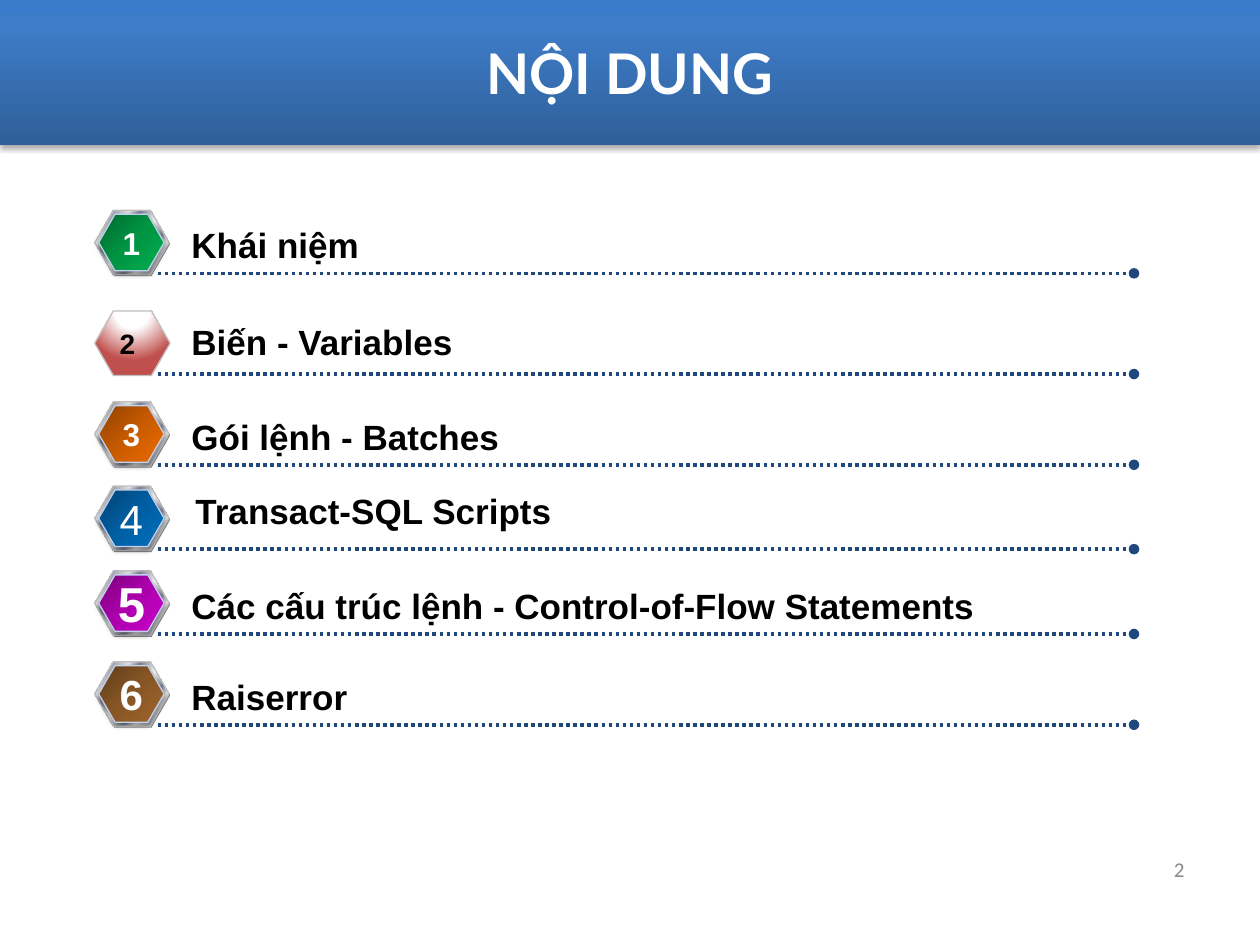
import pptx
import pptx.util
import pptx.dml.color
import pptx.enum.dml
import pptx.enum.shapes
import pptx.enum.text
import pptx.oxml
import pptx.oxml.ns

Cm, Pt = pptx.util.Cm, pptx.util.Pt
ALIGN = pptx.enum.text.PP_ALIGN
MID = pptx.enum.text.MSO_ANCHOR.MIDDLE

TITLE = "NỘI DUNG"
PAGE = "2"

# Rule height in cm, label, label shift (x, y), digit size, digit bold, badge gradient
ROWS = [
    (5.51, "Khái niệm", (0, 0), 18, True, ("00682F", "009443", "00B050")),
    (7.54, "Biến - Variables", (0, -0.08), 16, True, None),
    (9.37, "Gói lệnh - Batches", (0, 0), 18, True, ("8D4000", "C85B00", "EE6B00")),
    (11.07, "Transact-SQL Scripts", (0.08, -0.2), 24, False,
     ("004272", "005EA2", "0070C0")),
    (12.78, "Các cấu trúc lệnh - Control-of-Flow Statements", (0, 0), 28, True,
     ("790079", "AC00AC", "CC00CC")),
    (14.61, "Raiserror", (0, 0), 24, True, ("5F3C1A", "875625", "A1662B")),
]

THEME = {
    "head": "Lato", "body": "Arial", "foot": "Calibri",
    "title": 32, "label": 20, "page": 12,
    "white": "FFFFFF", "black": "000000", "gray": "898989",
    "rule": "1F497D", "back": "808080", "rim": "C0C0C0", "edge": "C2D1ED",
    "banner": [(0, "2F5F99"), (80, "3D7CC7"), (100, "3A7CCB")],
    "glow": [(0, "FFFFFF"), (35, "FFFFFF"), (100, "C0504D")],
    "steel": [(0, "E6E6E6"), (8, "7D8496"), (26, "E6E6E6"), (34, "7D8496"),
              (46, "E6E6E6"), (50, "FFFFFF"), (54, "E6E6E6"), (66, "7D8496"),
              (74, "E6E6E6"), (92, "7D8496"), (100, "E6E6E6")],
}
LINEAR = '<a:lin ang="{}" scaled="0"/>'
RADIAL = ('<a:path path="circle"><a:fillToRect l="50000" t="-80000" '
          'r="50000" b="180000"/></a:path>')


def rgb(name):
    return pptx.dml.color.RGBColor.from_string(THEME.get(name, name))


def node(xml):
    """Parse one drawing element, adding the namespace to its tag."""
    tag, rest = xml[:-2].split(" ", 1) if xml.endswith("/>") else (None, None)
    if tag:
        return pptx.oxml.parse_xml(f'{tag} {pptx.oxml.ns.nsdecls("a")} {rest}/>')
    return pptx.oxml.parse_xml(xml.replace(">", f' {pptx.oxml.ns.nsdecls("a")}>', 1))


def part(shape, tag):
    return shape._element.spPr.find(pptx.oxml.ns.qn(tag))


def blend(shape, stops, course):
    """Fill with a gradient of (percent, colour) stops."""
    shape.fill.gradient()
    grad = part(shape, "a:gradFill")
    for kid in list(grad):
        grad.remove(kid)
    marks = "".join(f'<a:gs pos="{pos * 1000}"><a:srgbClr val="{hue}"/></a:gs>'
                    for pos, hue in stops)
    grad.append(node(f"<a:gsLst>{marks}</a:gsLst>"))
    grad.append(node(course) if course.startswith("<a:lin") else
                node(f"<a:hold>{course}</a:hold>")[0])


def shade(shape, alpha, dist):
    shape.shadow.inherit = False
    part(shape, "a:effectLst").append(node(
        f'<a:hold><a:outerShdw blurRad="{Pt(3.1)}" dist="{Pt(dist)}" dir="5400000" '
        f'rotWithShape="0"><a:srgbClr val="000000"><a:alpha val="{alpha * 1000}"/>'
        '</a:srgbClr></a:outerShdw></a:hold>')[0])


def write(shape, text, face, size, hue, bold=False, align=ALIGN.LEFT,
          anchor=None, wrap=True):
    frame = shape.text_frame
    frame.text = text
    frame.word_wrap = wrap
    if anchor is not None:
        frame.vertical_anchor = anchor
    para = frame.paragraphs[0]
    para.alignment = align
    font = para.font
    font.name, font.size, font.bold = THEME[face], Pt(size), bold
    font.color.rgb = rgb(hue)


def hexagon(slide, x, y, w, h, line=None):
    shape = slide.shapes.add_shape(pptx.enum.shapes.MSO_SHAPE.HEXAGON,
                                   Cm(x), Cm(y), Cm(w), Cm(h))
    shape.adjustments[0] = 0.289
    shape.shadow.inherit = False
    if line:
        shape.line.color.rgb = rgb(line)
        shape.line.width = Pt(0.75)
    else:
        shape.line.fill.background()
    return shape


def badge(slide, y, digit, size, bold, hues):
    if hues is None:
        face = hexagon(slide, 1.91, y - 1.27, 1.52, 1.3, "rim")
        blend(face, THEME["glow"], RADIAL)
        write(face, digit, "body", size, "black", bold, anchor=MID, wrap=False)
        return
    base = hexagon(slide, 1.93, y - 1.24, 1.5, 1.3)
    base.fill.solid()
    base.fill.fore_color.rgb = rgb("back")
    ring = hexagon(slide, 1.91, y - 1.27, 1.5, 1.3, "rim")
    blend(ring, THEME["steel"], LINEAR.format(2700000))
    face = hexagon(slide, 1.99, y - 1.19, 1.32, 1.14, "edge")
    blend(face, zip((0, 50, 100), hues), LINEAR.format(2700000))
    shade(face, 38, 1.6)
    write(face, digit, "body", size, "white", bold, ALIGN.CENTER, MID, False)


def rule(slide, y):
    line = slide.shapes.add_connector(pptx.enum.shapes.MSO_CONNECTOR.STRAIGHT,
                                      Cm(3.18), Cm(y), Cm(22.86), Cm(y))
    line.line.color.rgb = rgb("rule")
    line.line.width = Pt(2)
    line.line.dash_style = pptx.enum.dml.MSO_LINE.ROUND_DOT
    part(line, "a:ln").append(node('<a:tailEnd type="oval"/>'))
    line._element.spPr.append(node("<a:effectLst></a:effectLst>"))


def box(slide, x, y, w, h):
    return slide.shapes.add_textbox(Cm(x), Cm(y), Cm(w), Cm(h))


def main():
    deck = pptx.Presentation()
    deck.slide_width, deck.slide_height = Cm(25.4), Cm(19.05)
    slide = deck.slides.add_slide(deck.slide_layouts[5])

    head = slide.shapes.title
    head.left, head.top, head.width, head.height = Cm(0), Cm(0), Cm(25.4), Cm(2.92)
    blend(head, THEME["banner"], LINEAR.format(16200000))
    shade(head, 35, 1.8)
    write(head, TITLE, "head", THEME["title"], "white", True, ALIGN.CENTER, MID)

    for num, (y, text, (dx, dy), size, bold, hues) in enumerate(ROWS, 1):
        badge(slide, y, str(num), size, bold, hues)
        rule(slide, y)
        label = box(slide, 3.61 + dx, y - 1.12 + dy, 19.25 - dx, 1.12)
        write(label, text, "body", THEME["label"], "black", True)

    write(box(slide, 18.21, 17.02, 5.92, 1.02), PAGE, "foot", THEME["page"],
          "gray", align=ALIGN.RIGHT, anchor=MID)
    deck.save("out.pptx")


if __name__ == "__main__":
    main()
